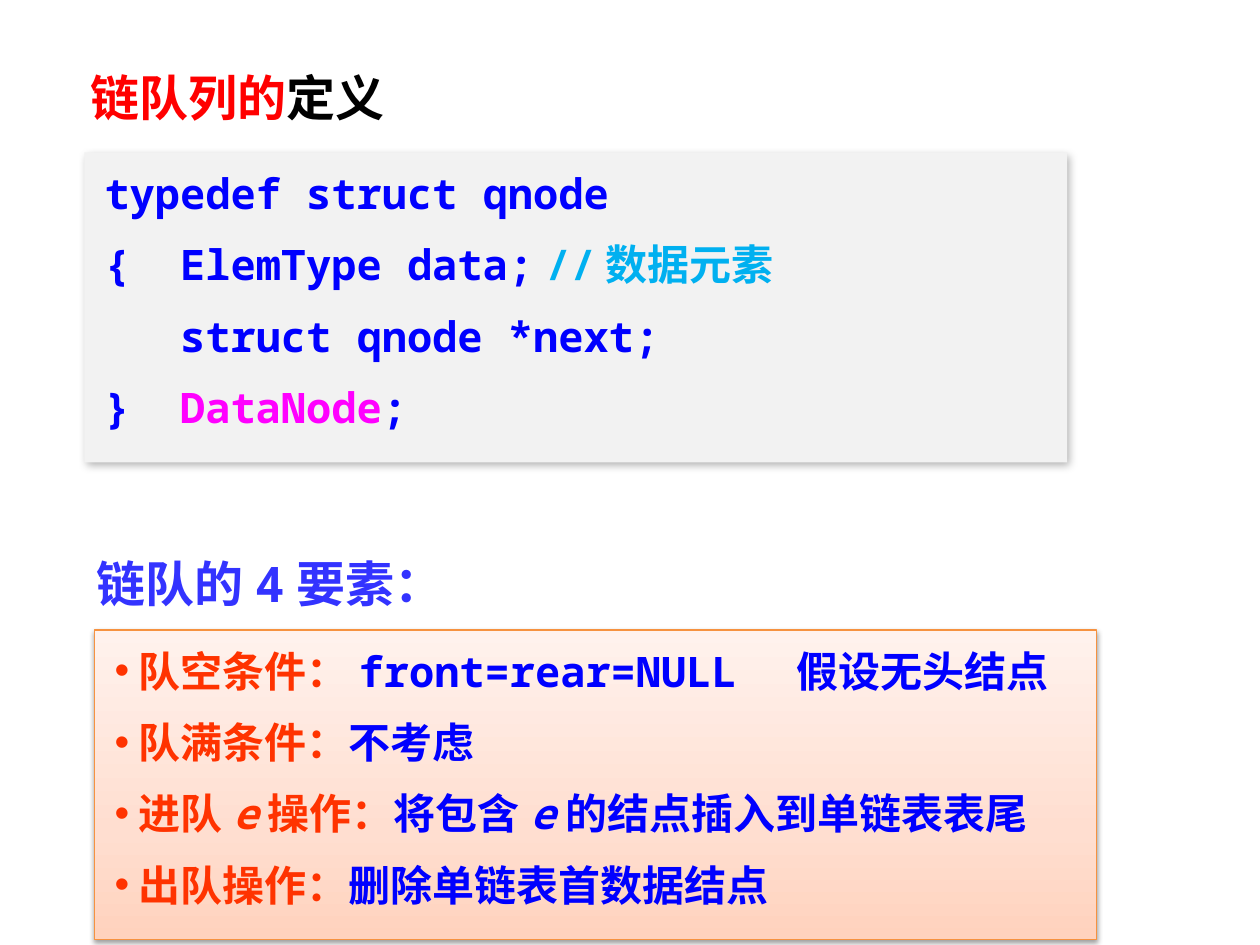
from collections import namedtuple

from lxml import etree
from pptx import Presentation, util as u
from pptx.dml.color import RGBColor
from pptx.enum import shapes, text
from pptx.oxml import ns

COLUMNS, ROWS = 100, 75
CELL = u.Inches(0.1)
MONO, SERIF = "Noto Sans Mono", "Times New Roman"
BLUE, ORANGE, RED, BLACK = "0000FF", "FF3300", "FF0000", "000000"
INDIGO, SKY, MAGENTA = "3333FF", "00B0F0", "FF00FF"
Box = namedtuple("Box", "left top width height")

CODE = [
    [("typedef struct qnode", BLUE)],
    [("{  ElemType data;\t", BLUE), ("//数据元素", SKY)],
    [("   struct qnode *next;", BLUE)],
    [("}  ", BLUE), ("DataNode", MAGENTA), (";", BLUE)],
]
ELEMENTS = [
    [("队空条件：", ORANGE), ("front=rear=NULL\t假设无头结点", BLUE)],
    [("队满条件：", ORANGE), ("不考虑", BLUE)],
    [("进队", ORANGE), ("e", ORANGE, True), ("操作：", ORANGE),
     ("将包含", BLUE), ("e", BLUE, True), ("的结点插入到单链表表尾", BLUE)],
    [("出队操作：", ORANGE), ("删除单链表首数据结点", BLUE)],
]


def color(value):
    """Return the colour for a hex string."""
    return RGBColor.from_string(value)


def place(box):
    """Turn a box in columns and rows into slide lengths."""
    return [round(value * CELL) for value in box]


def within(box, left, top, width, height):
    """Return a box whose corner is offset from that of its region."""
    return Box(box.left + left, box.top + top, width, height)


def add_xml(parent, tag, **attributes):
    """Append a DrawingML element to its parent."""
    values = {key: str(value) for key, value in attributes.items()}
    return etree.SubElement(parent, ns.qn(tag), values)


def add_run(paragraph, words, hue, italic=False, font=MONO, size=24):
    """Add bold text with the given format to a paragraph."""
    run = paragraph.add_run()
    run.text = words
    run.font.name, run.font.size = font, u.Pt(size)
    run.font.bold, run.font.italic = True, italic
    run.font.color.rgb = color(hue)


def add_heading(slide, box, runs, font=MONO, line_spacing=None):
    """Place a section heading in its box."""
    frame = slide.shapes.add_textbox(*place(box)).text_frame
    frame.word_wrap = True
    paragraph = frame.paragraphs[0]
    paragraph.line_spacing = line_spacing
    for words, hue in runs:
        add_run(paragraph, words, hue, font=font, size=28)


def add_bullet(paragraph, indent, tab):
    """Give a paragraph a hanging bullet and one tab stop."""
    properties = paragraph._p.get_or_add_pPr()
    properties.set("marL", str(u.Inches(indent)))
    properties.set("indent", str(-u.Inches(indent)))
    add_xml(properties, "a:buFont", typeface="Arial")
    add_xml(properties, "a:buChar", char="•")
    tabs = add_xml(properties, "a:tabLst")
    add_xml(tabs, "a:tab", pos=u.Inches(tab), algn="l")


def add_shadow(shape, opacity, blur, distance, angle):
    """Give a shape an outer shadow."""
    shape.shadow.inherit = False
    effects = shape._element.spPr.find(ns.qn("a:effectLst"))
    shadow = add_xml(effects, "a:outerShdw", blurRad=u.Pt(blur), dist=u.Pt(distance),
                     dir=angle * 60000, algn="t", rotWithShape=0)
    hue = add_xml(shadow, "a:srgbClr", val=BLACK)
    add_xml(hue, "a:alpha", val=opacity * 1000)


def set_gradient(shape, stops, angle):
    """Fill a shape with a linear gradient of any number of stops."""
    shape.fill.gradient()
    gradient = shape._element.spPr.find(ns.qn("a:gradFill"))
    for child in list(gradient):
        gradient.remove(child)
    stop_list = add_xml(gradient, "a:gsLst")
    for position, hue in stops:
        stop = add_xml(stop_list, "a:gs", pos=position * 1000)
        add_xml(stop, "a:srgbClr", val=hue)
    add_xml(gradient, "a:lin", ang=angle * 60000, scaled=1)


def add_panel(slide, box, lines, align, bulleted=False):
    """Place a rectangle holding coloured lines and return it."""
    shape = slide.shapes.add_shape(shapes.MSO_SHAPE.RECTANGLE, *place(box))
    frame = shape.text_frame
    frame.word_wrap = True
    frame.vertical_anchor = text.MSO_ANCHOR.TOP
    frame.margin_left = frame.margin_right = u.Inches(0.16)
    frame.margin_top = frame.margin_bottom = u.Inches(0.12)
    for index, runs in enumerate(lines):
        paragraph = frame.add_paragraph() if index else frame.paragraphs[0]
        paragraph.alignment = align
        if index:
            spacing = add_xml(paragraph._p.get_or_add_pPr(), "a:spcBef")
            add_xml(spacing, "a:spcPct", val=50000)
        if bulleted:
            add_bullet(paragraph, indent=0.19, tab=5.41)
        for run in runs:
            add_run(paragraph, *run)
    return shape


def add_definition(slide, box):
    """Place the type definition with its heading."""
    add_heading(slide, within(box, 0, 0, box.width, 6.8),
                [("链队列的", RED), ("定义", BLACK)], font=SERIF, line_spacing=1.2)
    panel = add_panel(slide, within(box, 0.5, 8.2, 78, 24.6), CODE, text.PP_ALIGN.JUSTIFY)
    panel.fill.solid()
    panel.fill.fore_color.rgb = color("F2F2F2")
    panel.line.fill.background()
    add_shadow(panel, opacity=30, blur=4.5, distance=2.6, angle=53)


def add_elements(slide, box):
    """Place the four elements of the queue with their heading."""
    panel = add_panel(slide, within(box, 0.8, 6.6, 79.5, 24.6), ELEMENTS,
                      text.PP_ALIGN.LEFT, bulleted=True)
    set_gradient(panel, [(0, "FFD2BD"), (35, "FFDED0"), (100, "FFF2ED")], angle=270)
    panel.line.color.rgb = color("F69240")
    panel.line.width = u.Pt(0.75)
    add_shadow(panel, opacity=38, blur=3.1, distance=1.6, angle=90)
    add_heading(slide, within(box, 0, 0, 45.7, 5.7), [("链队的4要素：", INDIGO)])


def main():
    """Build and save the slide."""
    presentation = Presentation()
    presentation.slide_width = COLUMNS * CELL
    presentation.slide_height = ROWS * CELL
    slide = presentation.slides.add_slide(presentation.slide_layouts[6])
    add_definition(slide, Box(6.2, 3.9, 91.8, 32.8))
    add_elements(slide, Box(6.7, 43.4, 80.3, 31.2))
    presentation.save("out.pptx")


if __name__ == "__main__":
    main()
